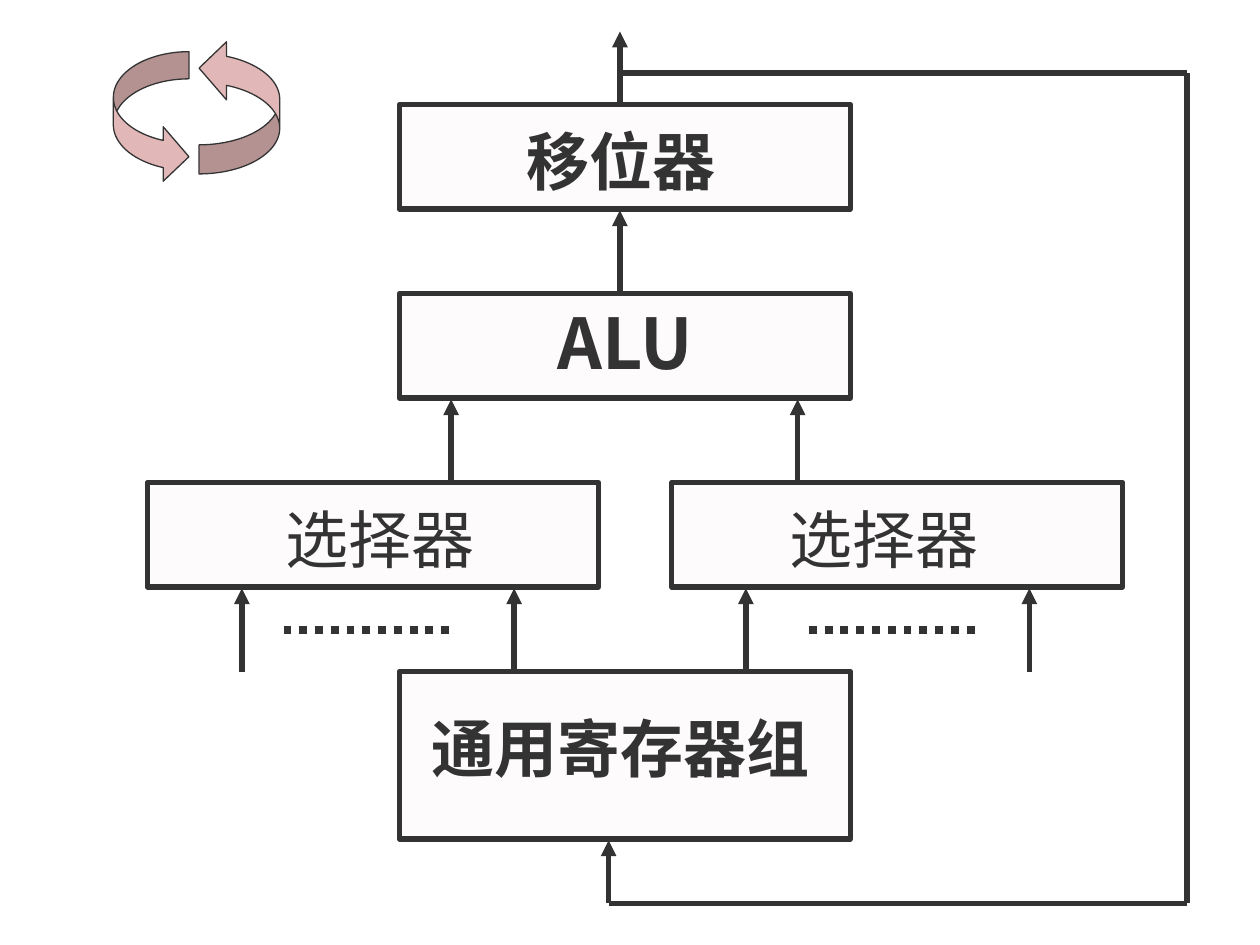
"""Build the ALU data path slide: registers, selectors, ALU, shifter and feedback bus."""
from dataclasses import dataclass
from typing import NamedTuple

from lxml.etree import SubElement
from pptx import Presentation
from pptx.dml.color import RGBColor as RGB
from pptx.enum.dml import MSO_LINE
from pptx.enum.shapes import MSO_CONNECTOR as CONN, MSO_SHAPE as SHAPE
from pptx.enum.text import MSO_AUTO_SIZE as AUTO
from pptx.oxml.ns import qn
from pptx.util import Inches, Pt


@dataclass(frozen=True)
class Theme:
    ink: RGB = RGB(0x33, 0x33, 0x33)
    box: RGB = RGB(0xFD, 0xFB, 0xFB)
    loop: RGB = RGB(0xE1, 0xB7, 0xB7)
    latin: str = "Times New Roman"
    cjk: str = "Noto Sans CJK SC"
    body: int = 36
    large: int = 40
    rule: float = 3
    dots: float = 4.5
    thin: float = 0.75


class Label(NamedTuple):
    text: str
    x: float
    y: float
    w: float
    h: float = 0.7
    size: int = 36
    bold: bool = True
    font: str = "Times New Roman"


class Block(NamedTuple):
    x: float
    y: float
    label: Label
    h: float = 0.83


class Wire(NamedTuple):
    x1: float
    y1: float
    x2: float
    y2: float
    arrow: bool = False
    dotted: bool = False


class Loop(NamedTuple):
    x: float
    y: float
    w: float
    h: float
    rotation: float = 0


T = Theme()
BLOCK_W = 3.58
SHIFT_Y, ALU_Y, SELECT_Y, REG_Y = (0.83 + 1.5 * i for i in range(4))
OUT_X, FEED_X, BUS_X = 4.92, 4.83, 9.42
BUS_TOP, BUS_BOTTOM = 0.58, 7.17

BLOCKS = [
    Block(3.17, SHIFT_Y, Label("移位器", 4.08, 0.92, 3.25)),
    Block(3.17, ALU_Y, Label("ALU", 4.33, 2.33, 2.92, 0.77, T.large, font=T.cjk)),
    *(Block(x, SELECT_Y, Label("选择器", text_x, 3.92, 3.17, bold=False))
      for x, text_x in ((1.17, 2.17), (5.33, 6.17))),
    Block(3.17, REG_Y, Label("通用寄存器组", 3.33, 5.58, 3.33), 1.33),
]
RISERS = [
    (REG_Y, 4.67, (1.92, 4.08, 5.92, 8.17)),
    (SELECT_Y, 3.17, (3.58, 6.33)),
    (ALU_Y, 1.67, (OUT_X,)),
    (SHIFT_Y, 0.25, (OUT_X,)),
    (BUS_BOTTOM, 6.67, (FEED_X,)),
]
WIRES = [
    *(Wire(x, y1, x, y2, arrow=True) for y1, y2, xs in RISERS for x in xs),
    Wire(OUT_X, BUS_TOP, BUS_X, BUS_TOP),
    Wire(BUS_X, BUS_TOP, BUS_X, BUS_BOTTOM),
    Wire(FEED_X, BUS_BOTTOM, BUS_X, BUS_BOTTOM),
    *(Wire(x, 5, x + 1.33, 5, dotted=True) for x in (2.25, 6.42)),
]
LOOPS = [Loop(0.9, 0.41, 0.6, 1.05), Loop(1.58, 0.31, 0.64, 1.07, 180)]


def add_shape(s, kind, x: float, y: float, w: float, h: float, fill: RGB, line: float):
    sp = s.shapes.add_shape(kind, Inches(x), Inches(y), Inches(w), Inches(h))
    sp.shadow.inherit = False
    sp.fill.solid()
    sp.fill.fore_color.rgb = fill
    sp.line.color.rgb = T.ink
    sp.line.width = Pt(line)
    return sp


def add_text(s, text: str, *, x: float, y: float, w: float, h: float,
             size: int, bold: bool, font: str) -> None:
    tf = s.shapes.add_textbox(Inches(x), Inches(y), Inches(w), Inches(h)).text_frame
    tf.word_wrap = True
    tf.auto_size = AUTO.SHAPE_TO_FIT_TEXT
    p = tf.paragraphs[0]
    p.space_before = Pt(size * 0.625)
    r = p.add_run()
    r.text = text
    r.font.name = font
    r.font.size = Pt(size)
    r.font.bold = bold
    r.font.color.rgb = T.ink
    SubElement(r.font._element, qn("a:ea"), typeface=T.cjk)


def add_block(s, block: Block) -> None:
    add_shape(s, SHAPE.RECTANGLE, block.x, block.y, BLOCK_W, block.h, T.box, T.rule)
    add_text(s, **block.label._asdict())


def add_wire(s, wire: Wire) -> None:
    ends = (Inches(v) for v in wire[:4])
    cxn = s.shapes.add_connector(CONN.STRAIGHT, *ends)
    cxn.line.color.rgb = T.ink
    cxn.line.width = Pt(T.dots if wire.dotted else T.rule)
    if wire.dotted:
        cxn.line.dash_style = MSO_LINE.ROUND_DOT
    if wire.arrow:
        SubElement(cxn.line._get_or_add_ln(), qn("a:tailEnd"), type="triangle")
    SubElement(cxn._element.spPr, qn("a:effectLst"))


def add_loop(s, loop: Loop) -> None:
    sp = add_shape(s, SHAPE.CURVED_RIGHT_ARROW, *loop[:4], T.loop, T.thin)
    sp.rotation = loop.rotation
    for i, value in enumerate((0.36, 0.72, 0.34)):
        sp.adjustments[i] = value


def main() -> None:
    prs = Presentation()
    prs.slide_width, prs.slide_height = Inches(10), Inches(7.5)
    s = prs.slides.add_slide(prs.slide_layouts[6])
    for items, draw in ((BLOCKS, add_block), (WIRES, add_wire), (LOOPS, add_loop)):
        for item in items:
            draw(s, item)
    prs.save("out.pptx")


if __name__ == "__main__":
    main()
